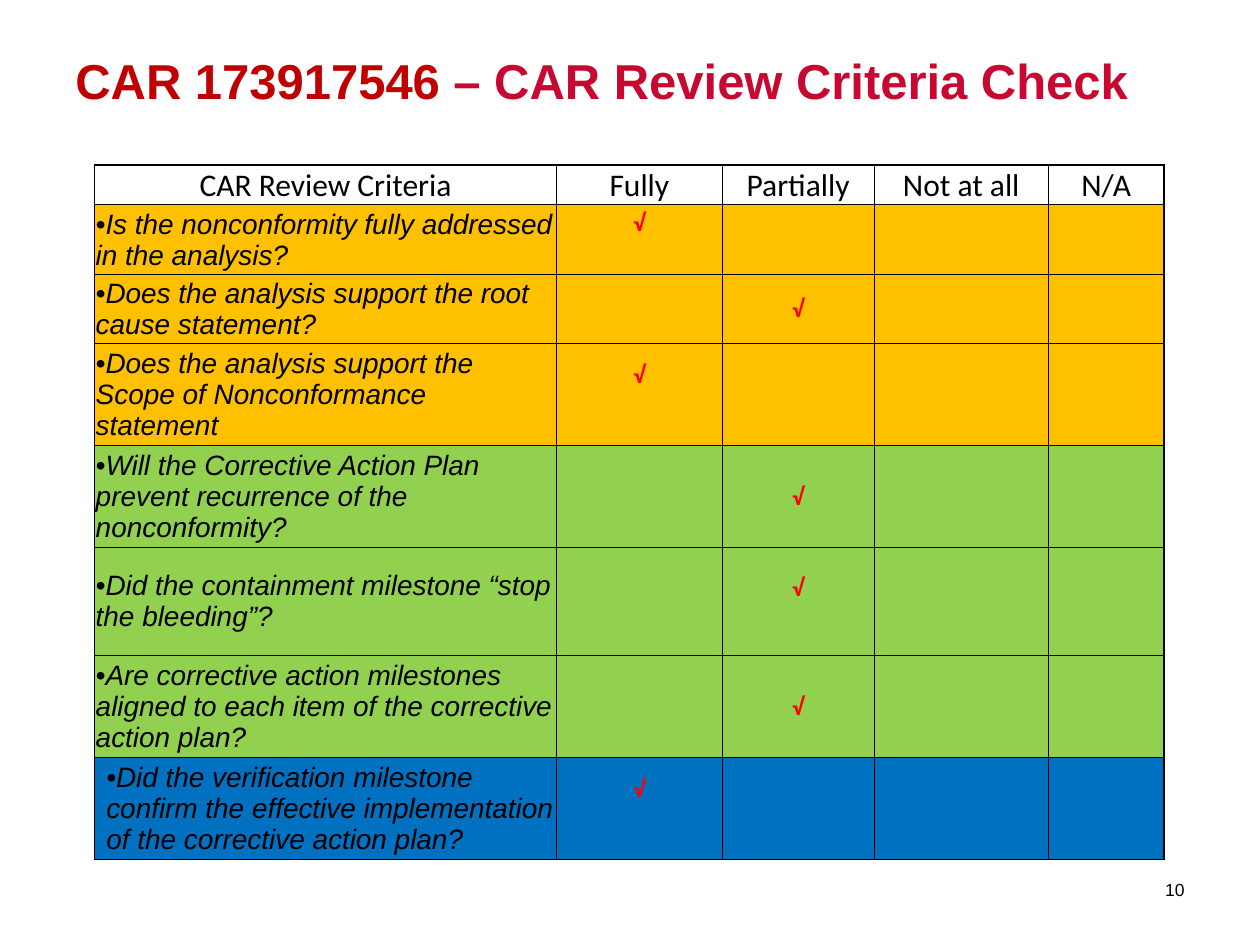
from lxml import etree
from pptx import Presentation
from pptx.dml.color import RGBColor
from pptx.enum.text import MSO_ANCHOR, PP_ALIGN
from pptx.oxml.ns import qn
from pptx.util import Pt

LEFT, CENTER, RIGHT = PP_ALIGN.LEFT, PP_ALIGN.CENTER, PP_ALIGN.RIGHT
MIDDLE, BOTTOM = MSO_ANCHOR.MIDDLE, MSO_ANCHOR.BOTTOM

COLORS = {
    "white": "FFFFFF", "black": "000000", "check": "FF0000",
    "title number": "C00000", "title": "C70932",
    "analysis": "FFC000", "plan": "92D050", "verification": "0070C0",
}
HEADINGS = ["CAR Review Criteria", "Fully", "Partially", "Not at all", "N/A"]
COLUMN_WIDTHS = [264.24, 94.32, 87.12, 99.36, 66.24]
HEADER_HEIGHT = 22.6
FULLY, PARTIALLY = 1, 2
# group, row height, criterion, checked column, space below the check mark
CRITERIA = [
    ("analysis", 40, "Is the nonconformity fully addressed in the analysis?", FULLY, 20),
    ("analysis", 36, "Does the analysis support the root cause statement?", PARTIALLY, 0),
    ("analysis", 54.3, "Does the analysis support the Scope of Nonconformance statement",
     FULLY, 22),
    ("plan", 54.3, "Will the Corrective Action Plan prevent recurrence of the nonconformity?",
     PARTIALLY, 0),
    ("plan", 61.7, "Did the containment milestone “stop the bleeding”?", PARTIALLY, 16),
    ("plan", 53.8, "Are corrective action milestones aligned to each item of the "
     "corrective action plan?", PARTIALLY, 0),
    ("verification", 54.3, "Did the verification milestone confirm the effective "
     "implementation of the corrective action plan?", FULLY, 22),
]


def add_span(para, text, size, font, color, bold=False, italic=False):
    span = para.add_run()
    span.text = text
    span.font.size = Pt(size)
    span.font.name = font
    span.font.bold = bold
    span.font.italic = italic
    span.font.color.rgb = RGBColor.from_string(COLORS[color])


def format_cell(cell, fill, anchor, align, widths):
    """Fill, place and border one cell; widths maps each border tag to points."""
    cell.margin_left = cell.margin_right = cell.margin_top = Pt(0.72)
    cell.margin_bottom = Pt(0)
    cell.vertical_anchor = anchor
    cell.text_frame.paragraphs[0].alignment = align
    properties = cell._tc.get_or_add_tcPr()
    for tag, width in widths.items():
        line = etree.SubElement(properties, qn(f"a:{tag}"), w=str(Pt(width)))
        solid = etree.SubElement(line, qn("a:solidFill"))
        etree.SubElement(solid, qn("a:srgbClr"), val=COLORS["black"])
    cell.fill.solid()
    cell.fill.fore_color.rgb = RGBColor.from_string(COLORS[fill])


deck = Presentation()
deck.slide_width, deck.slide_height = Pt(720), Pt(540)
page = deck.slides.add_slide(deck.slide_layouts[6])

# Title
box = page.shapes.add_textbox(Pt(36), Pt(21.6), Pt(648), Pt(90)).text_frame
box.word_wrap = True
box.margin_top = Pt(7)
para = box.paragraphs[0]
add_span(para, "CAR 173917546", 28, "Arial", "title number", bold=True)
add_span(para, " – CAR Review Criteria Check", 28, "Arial", "title", bold=True)

# Criteria table
heights = [HEADER_HEIGHT] + [row[1] for row in CRITERIA]
table = page.shapes.add_table(len(heights), len(HEADINGS), Pt(54), Pt(94.3),
                              Pt(sum(COLUMN_WIDTHS)), Pt(sum(heights))).table
table.horz_banding = False
for column, width in zip(table.columns, COLUMN_WIDTHS):
    column.width = Pt(width)
for row, height in zip(table.rows, heights):
    row.height = Pt(height)

last_column = len(HEADINGS) - 1
for row_index in range(len(heights)):
    is_header = row_index == 0
    for column_index, heading in enumerate(HEADINGS):
        cell = table.cell(row_index, column_index)
        para = cell.text_frame.paragraphs[0]
        borders = {
            "lnL": 1 if column_index == 0 else 0.5,
            "lnR": 1 if column_index == last_column else 0.5,
            "lnT": 1 if is_header else 0.5,
            "lnB": 0.5,
        }
        if is_header:
            format_cell(cell, "white", BOTTOM, CENTER, borders)
            add_span(para, heading, 18, "Calibri", "black")
            continue
        group, _, criterion, checked, space_below = CRITERIA[row_index - 1]
        format_cell(cell, group, MIDDLE, CENTER if column_index else LEFT, borders)
        if column_index == 0:
            add_span(para, "•" + criterion, 16, "Arial", "black", italic=True)
            if group == "verification":
                cell.margin_left = Pt(6.75)
        elif column_index == checked:
            add_span(para, "√", 14, "Calibri", "check", bold=True)
            cell.margin_bottom = Pt(space_below)

# Page number
box = page.shapes.add_textbox(Pt(633.6), Pt(493.92), Pt(50.4), Pt(28.8)).text_frame
box.word_wrap = True
box.vertical_anchor = MIDDLE
para = box.paragraphs[0]
para.alignment = RIGHT
add_span(para, "10", 10, "Arial", "black")

deck.save("out.pptx")
